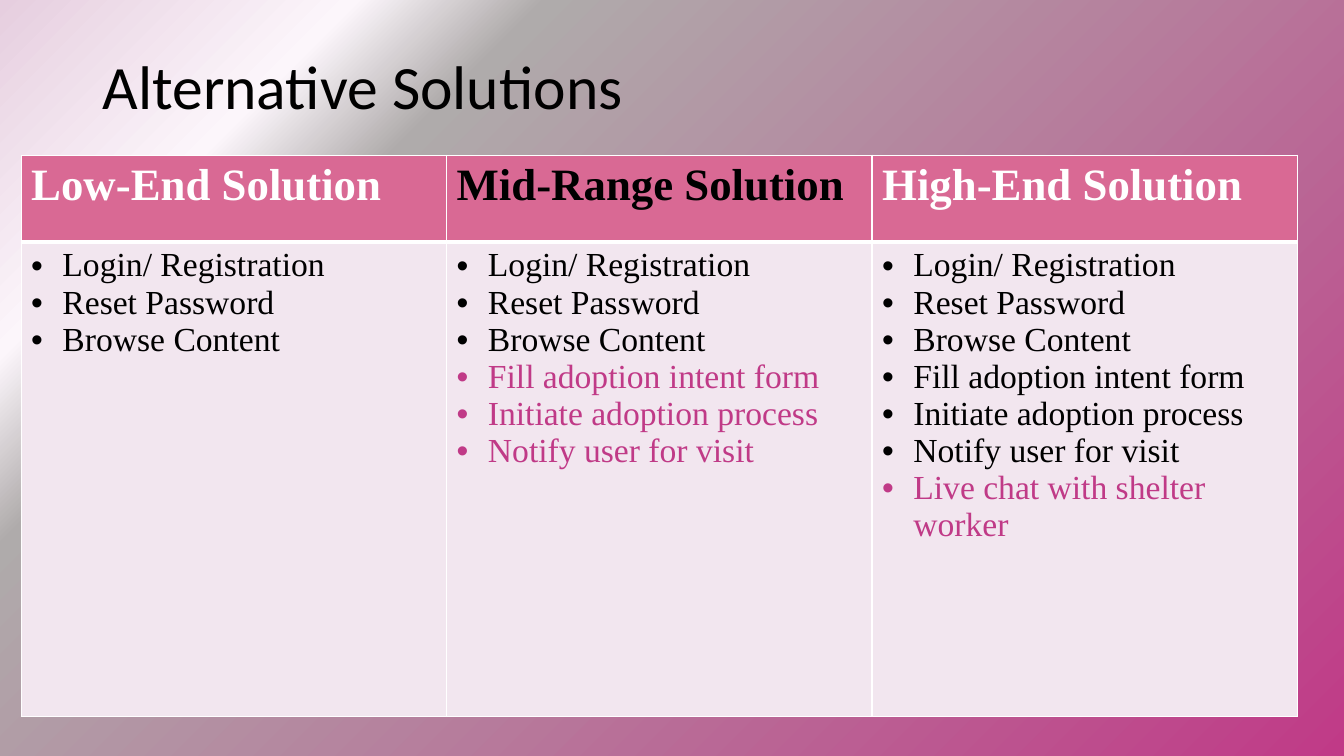
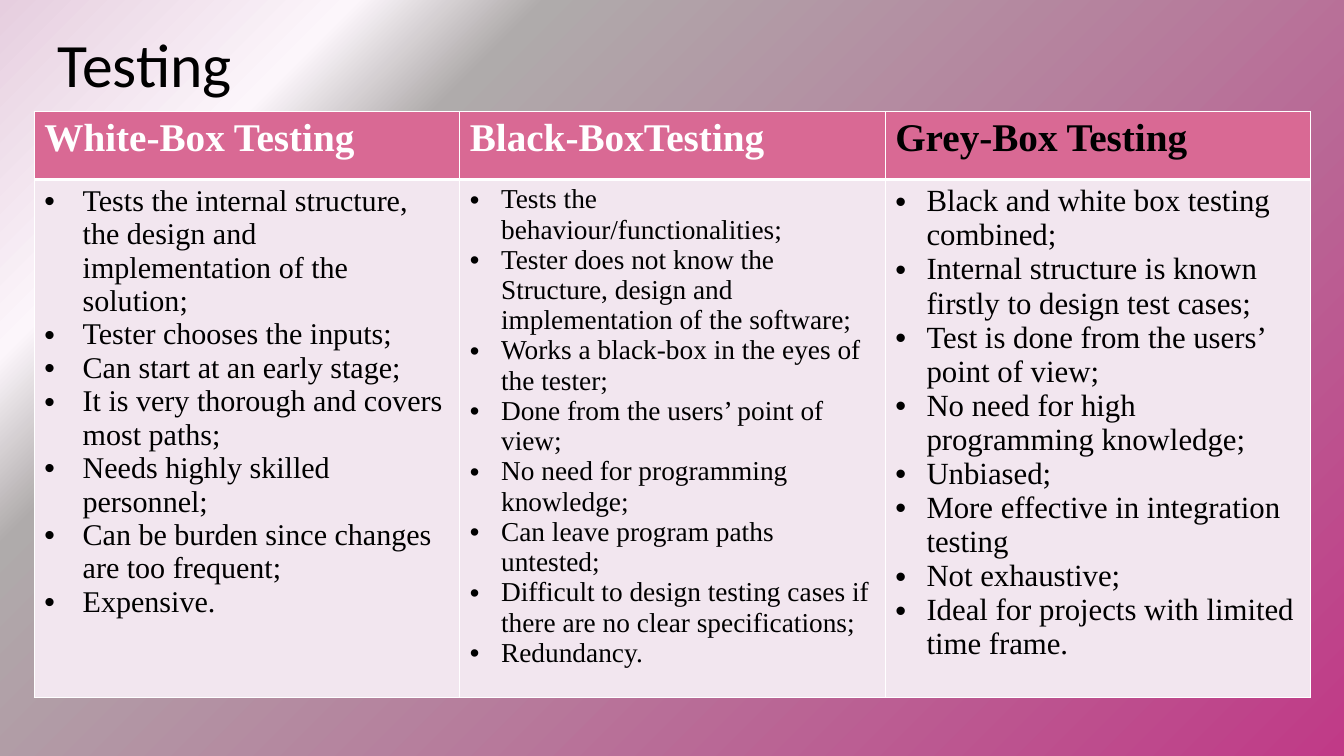
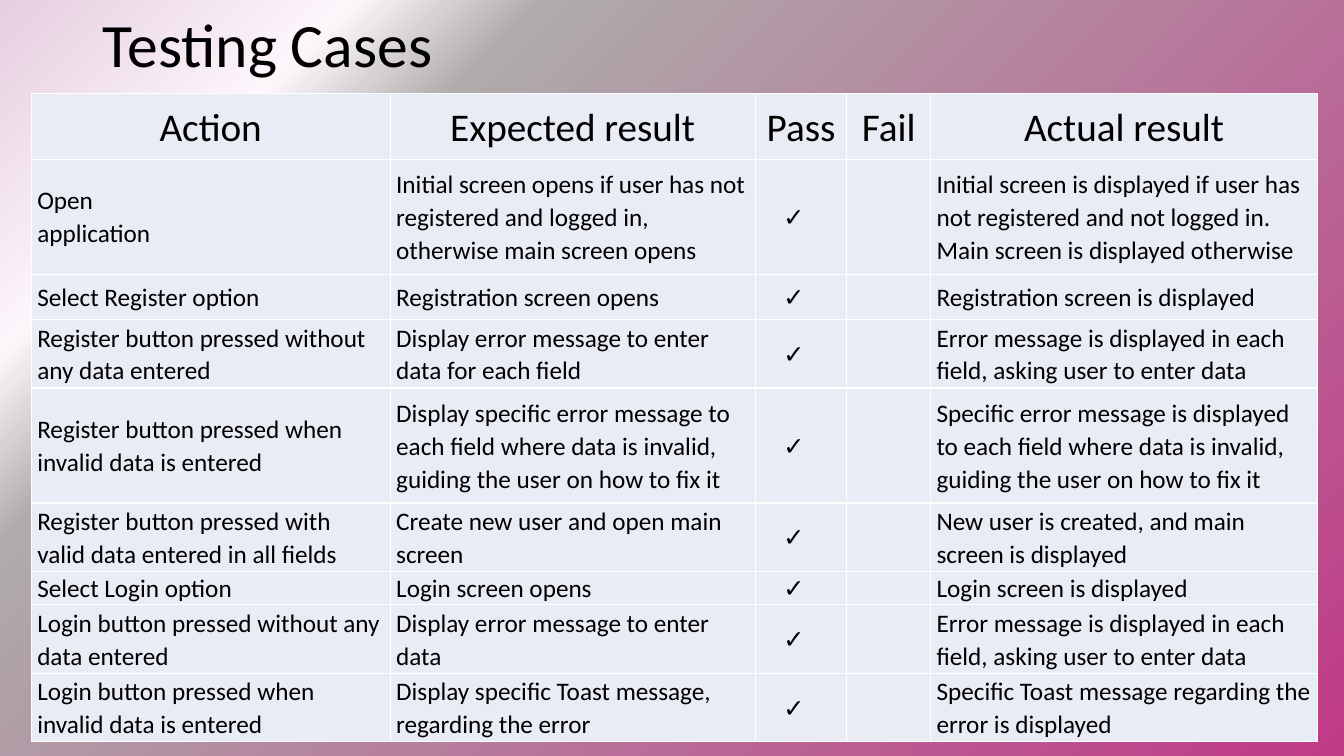
from dataclasses import dataclass

from lxml.etree import SubElement
from pptx import Presentation
from pptx.dml.color import RGBColor
from pptx.enum.text import MSO_ANCHOR, PP_ALIGN
from pptx.oxml import parse_xml
from pptx.oxml.ns import nsdecls, qn
from pptx.util import Inches, Pt


@dataclass(frozen=True)
class Theme:
    black: str = "000000"
    white: str = "FFFFFF"
    pink: str = "C03A87"
    head: str = "D96994"
    body: str = "F2E6EF"
    pale: str = "E9EBF5"
    fade: tuple = ((0, "C03A87"), (74, "AFABAB"), (83, "FCF6FB"), (100, "E6CEDF"))
    sans: str = "Calibri"
    serif: str = "Times New Roman"
    title: float = 44
    large: float = 32
    label: float = 28
    list: float = 24
    text: float = 18


def write(frame, text, font, size, color, bold=False, align=PP_ALIGN.LEFT,
          space=None, indent=0, accent=None, fresh=0):
    """Fill a frame, one paragraph per line; the last `fresh` lines take the accent."""
    lines = text.split("\n")
    for n, line in enumerate(lines):
        para = frame.paragraphs[0] if n == 0 else frame.add_paragraph()
        para.alignment = align
        if space:
            para.line_spacing = space
        if indent:
            props = para._p.get_or_add_pPr()
            props.set("marL", str(Inches(indent)))
            props.set("indent", str(-Inches(indent)))
            SubElement(props, qn("a:buFont")).set("typeface", "Arial")
            SubElement(props, qn("a:buChar")).set("char", "•")
        run = para.add_run()
        run.text = line
        run.font.name = font
        run.font.size = Pt(size)
        run.font.bold = bold
        tint = accent if n >= len(lines) - fresh else color
        run.font.color.rgb = RGBColor.from_string(tint)


class Deck:
    def __init__(self, theme):
        self.theme = theme
        self.show = Presentation()
        self.show.slide_width = Inches(13.33)
        self.show.slide_height = Inches(7.5)
        self.slide = None
        self.paint()

    def paint(self):
        """Give the master the diagonal background gradient."""
        master = self.show.slide_master
        master.background.fill.solid()
        props = next(master.element.iter(qn("p:bgPr")))
        stops = "".join(
            f'<a:gs pos="{pos * 1000}"><a:srgbClr val="{color}"/></a:gs>'
            for pos, color in self.theme.fade)
        props.replace(props[0], parse_xml(
            f'<a:gradFill {nsdecls("a")} rotWithShape="1"><a:gsLst>{stops}</a:gsLst>'
            '<a:path path="circle"><a:fillToRect l="100000" t="100000"/></a:path>'
            '<a:tileRect r="-100000" b="-100000"/></a:gradFill>'))

    def page(self, title, left, top):
        self.slide = self.show.slides.add_slide(self.show.slide_layouts[5])
        box = self.slide.shapes.title
        box.left, box.top = Inches(left), Inches(top)
        box.width, box.height = Inches(11.5), Inches(1.45)
        box.text_frame.vertical_anchor = MSO_ANCHOR.MIDDLE
        write(box.text_frame, title, self.theme.sans, self.theme.title,
              self.theme.black, space=0.9)

    def table(self, left, top, widths, heights):
        shape = self.slide.shapes.add_table(
            len(heights), len(widths), Inches(left), Inches(top),
            Inches(sum(widths)), Inches(sum(heights)))
        grid = shape.table
        grid.horz_banding = False
        for col, width in zip(grid.columns, widths):
            col.width = Inches(width)
        for row, height in zip(grid.rows, heights):
            row.height = Inches(height)
        return grid

    def cell(self, cell, fill, base=1):
        """Draw white borders, the lower one `base` points wide, then fill."""
        props = cell._tc.get_or_add_tcPr()
        for side, width in (("L", 1), ("R", 1), ("T", 1), ("B", base)):
            props.append(parse_xml(
                f'<a:ln{side} {nsdecls("a")} w="{Pt(width)}"><a:solidFill>'
                f'<a:srgbClr val="{self.theme.white}"/></a:solidFill></a:ln{side}>'))
        cell.fill.solid()
        cell.fill.fore_color.rgb = RGBColor.from_string(fill)

    def lists(self, left, top, heights, size, cols):
        """Place a table with one heading and one bulleted list per column."""
        look = self.theme
        grid = self.table(left, top, [4.22] * len(cols), heights)
        for n, (head, color, text, style) in enumerate(cols):
            label, items = grid.cell(0, n), grid.cell(1, n)
            self.cell(label, look.head, base=3)
            self.cell(items, look.body)
            write(label.text_frame, head, look.serif, size, color, bold=True)
            write(items.text_frame, text, look.serif, color=look.black,
                  accent=look.pink, **{"size": look.list, "indent": 0.31, **style})

    def cases(self, left, top, widths, heights, rows):
        look = self.theme
        grid = self.table(left, top, widths, heights)
        grid.first_row = False
        for r, row in enumerate(rows):
            for c, text in enumerate(row):
                cell = grid.cell(r, c)
                self.cell(cell, look.pale)
                cell.vertical_anchor = MSO_ANCHOR.MIDDLE
                cell.margin_left = Inches(0.28 if text == "✓" else 0.06)
                cell.margin_right = Inches(0.06)
                cell.margin_top = cell.margin_bottom = 0
                if text:
                    write(cell.text_frame, text, look.sans,
                          look.text if r else look.label, look.black, space=1.07,
                          align=PP_ALIGN.LEFT if r else PP_ALIGN.CENTER)


FEATS = ["Login/ Registration", "Reset Password", "Browse Content",
         "Fill adoption intent form", "Initiate adoption process",
         "Notify user for visit", "Live chat with shelter worker"]

WHITE_BOX = """Tests the internal structure, the design and implementation of the solution;
Tester chooses the inputs;
Can start at an early stage;
It is very thorough and covers most paths;
Needs highly skilled personnel;
Can be burden since changes are too frequent;
Expensive."""

BLACK_BOX = """Tests the behaviour/functionalities;
Tester does not know the Structure, design and implementation of the software;
Works a black-box in the eyes of the tester;
Done from the users’ point of view;
No need for programming knowledge;
Can leave program paths untested;
Difficult to design testing cases if there are no clear specifications;
Redundancy."""

GREY_BOX = """Black and white box testing combined;
Internal structure is known firstly to design test cases;
Test is done from the users’ point of view;
No need for high programming knowledge;
Unbiased;
More effective in integration testing
Not exhaustive;
Ideal for projects with limited time frame."""

CASES = [
    ("Open\napplication",
     "Initial screen opens if user has not registered and logged in, "
     "otherwise main screen opens",
     "Initial screen is displayed if user has not registered and not logged in. "
     "Main screen is displayed otherwise"),
    ("Select Register option", "Registration screen opens",
     "Registration screen is displayed"),
    ("Register button pressed without any data entered",
     "Display error message to enter data for each field",
     "Error message is displayed in each field, asking user to enter data"),
    ("Register button pressed when invalid data is entered",
     "Display specific error message to each field where data is invalid, "
     "guiding the user on how to fix it",
     "Specific error message is displayed to each field where data is invalid, "
     "guiding the user on how to fix it"),
    ("Register button pressed with valid data entered in all fields",
     "Create new user and open main screen",
     "New user is created, and main screen is displayed"),
    ("Select Login option", "Login screen opens", "Login screen is displayed"),
    ("Login button pressed without any data entered",
     "Display error message to enter data",
     "Error message is displayed in each field, asking user to enter data"),
    ("Login button pressed when invalid data is entered",
     "Display specific Toast message, regarding the error",
     "Specific Toast message regarding the error is displayed"),
]


def main():
    look = Theme()
    deck = Deck(look)

    deck.page("Alternative Solutions", 0.92, 0.16)
    deck.lists(0.21, 1.54, [0.86, 4.71], look.large, [
        ("Low-End Solution", look.white, "\n".join(FEATS[:3]), {}),
        ("Mid-Range Solution", look.black, "\n".join(FEATS[:6]), {"fresh": 3}),
        ("High-End Solution", look.white, "\n".join(FEATS), {"fresh": 1}),
    ])

    deck.page("Testing", 0.47, -0.05)
    deck.lists(0.34, 1.11, [0.67, 5.14], look.label, [
        ("White-Box Testing", look.white, WHITE_BOX, {"size": 21.5, "indent": 0.38}),
        ("Black-BoxTesting", look.white, BLACK_BOX, {"size": 19.5}),
        ("Grey-Box Testing", look.black, GREY_BOX, {"size": 22}),
    ])

    deck.page("Testing Cases", 0.92, -0.25)
    rows = [("Action", "Expected result", "Pass", "Fail", "Actual result")]
    rows += [(act, goal, "✓", "", real) for act, goal, real in CASES]
    deck.cases(0.31, 0.93, [3.56, 3.62, 0.91, 0.83, 3.84],
               [0.65, 1.14, 0.45, 0.68, 1.14, 0.68, 0.33, 0.68, 0.68], rows)

    deck.show.save("out.pptx")


if __name__ == "__main__":
    main()
